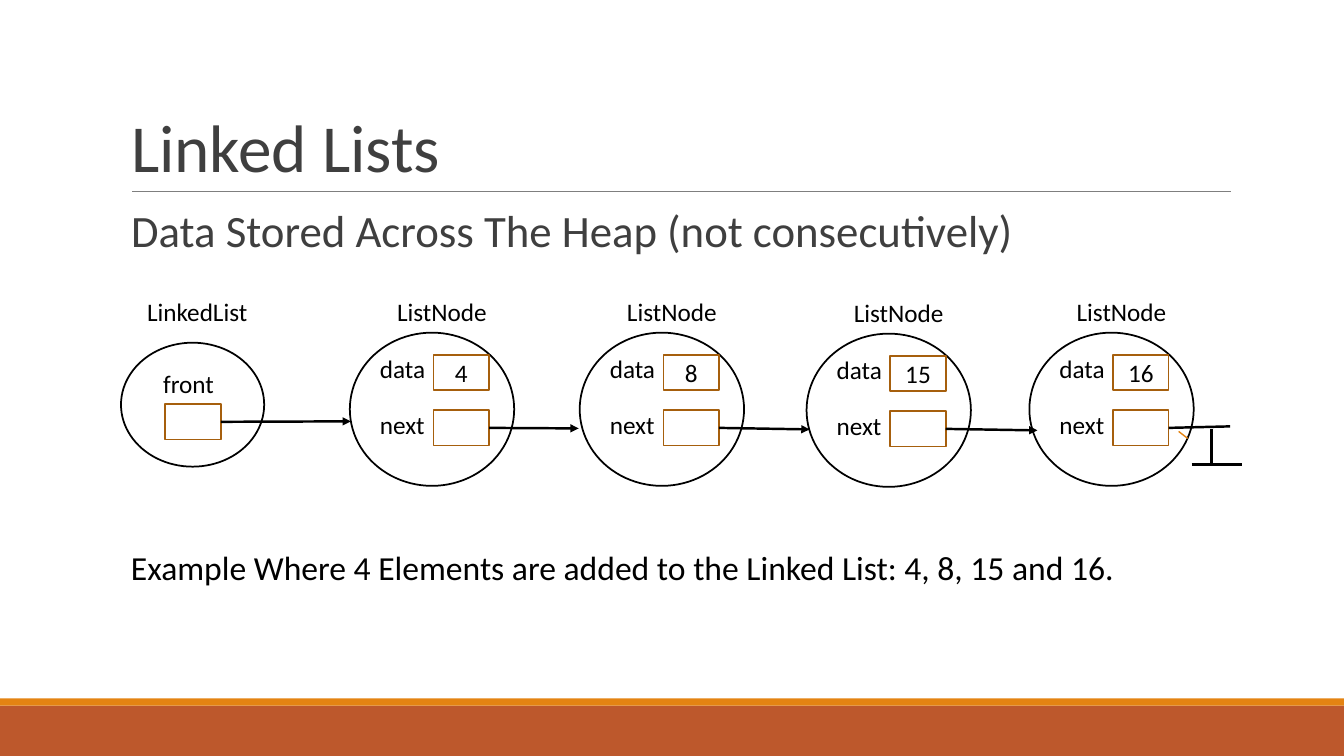
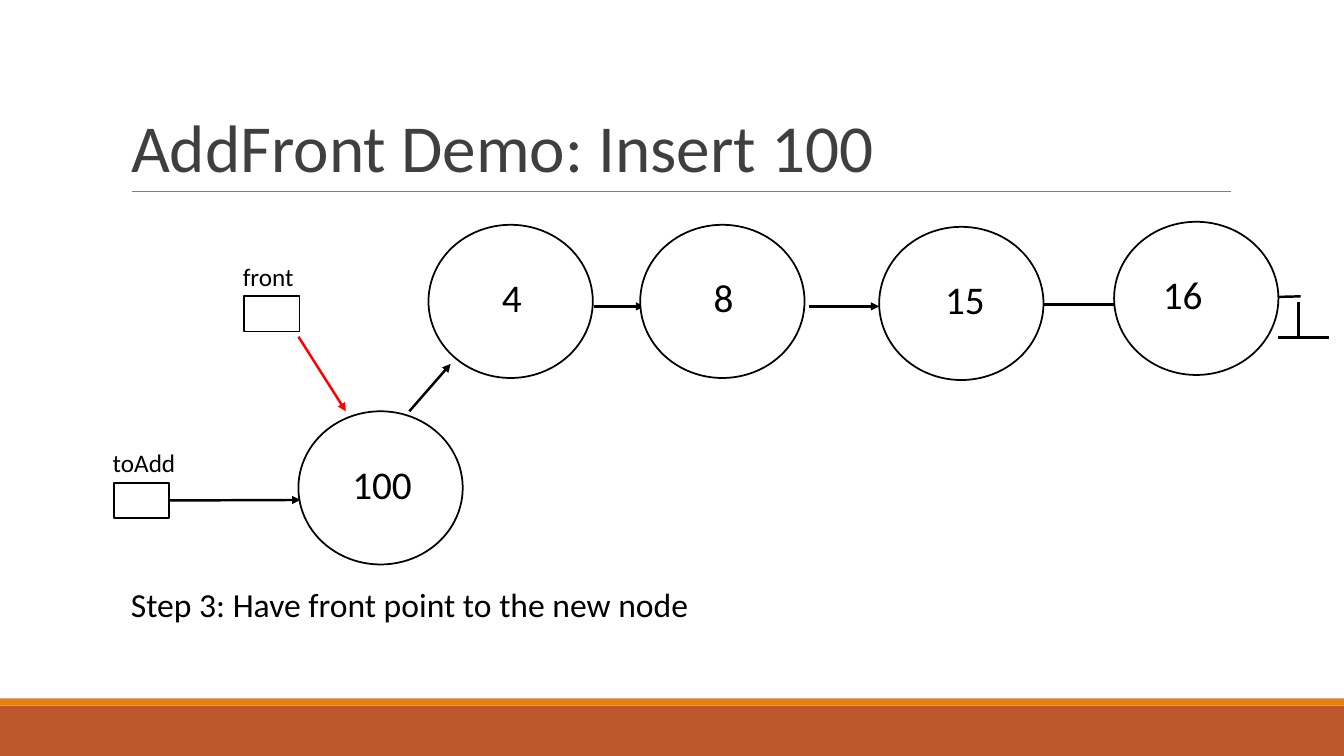
"""Build two slides on linked lists: the stored nodes and an insertion at the front."""
from lxml import etree
from pptx import Presentation
from pptx import util as u
from pptx.dml.color import RGBColor
from pptx.enum import shapes, text
from pptx.oxml.ns import qn

deck = Presentation()
deck.slide_width, deck.slide_height = u.Inches(13.33), u.Inches(7.5)
col, row = deck.slide_width / 13.33, deck.slide_height / 7.5

hues = {"ink": "000000", "gray": "3F3F3F", "rule": "7F7F7F", "white": "FFFFFF",
        "rust": "BD582C", "gold": "E48312", "brown": "A65F0D", "red": "FF0000"}
rect, oval = shapes.MSO_SHAPE.RECTANGLE, shapes.MSO_SHAPE.OVAL
left, mid = text.PP_ALIGN.LEFT, text.PP_ALIGN.CENTER
top, core, base = text.MSO_ANCHOR.TOP, text.MSO_ANCHOR.MIDDLE, text.MSO_ANCHOR.BOTTOM

looks = {
    "title": {"slot": 0, "size": 48, "ink": "gray", "anchor": base, "space": 0.85},
    "body": {"slot": 1, "size": 32, "ink": "gray", "space": 0.9, "inset": 0},
    "label": {"size": 18},
    "note": {"size": 24},
    "rust": {"kind": rect, "fill": "rust"},
    "gold": {"kind": rect, "fill": "gold"},
    "node": {"kind": oval, "fill": "white", "line": "ink"},
    "cell": {"kind": rect, "fill": "white", "line": "brown",
             "size": 18, "align": mid, "anchor": core},
    "slot": {"kind": rect, "fill": "white", "line": "ink"},
    "value": {"kind": rect, "fill": "white", "size": 28, "align": mid, "anchor": core},
}


def box(home, name, at, words=""):
    """Place a shape, text box or placeholder in the named look."""
    look = looks[name]
    spot = [int(n * step) for n, step in zip(at, (col, row, col, row))]
    if "slot" in look:
        item = home.placeholders[look["slot"]]
        for key, val in zip(("left", "top", "width", "height"), spot):
            setattr(item, key, val)
    elif "kind" in look:
        item = home.add_shape(look["kind"], *spot)
        item.shadow.inherit = False
        item.fill.solid()
        item.fill.fore_color.rgb = RGBColor.from_string(hues[look["fill"]])
        if "line" in look:
            item.line.color.rgb = RGBColor.from_string(hues[look["line"]])
            item.line.width = u.Pt(1.25)
        else:
            item.line.fill.background()
    else:
        item = home.add_textbox(*spot)
    if words:
        frame = item.text_frame
        frame.text = words
        pad = int(look.get("inset", 0.1) * col)
        part = frame.paragraphs[0]
        for thing, vals in (
            (frame, {"word_wrap": True, "auto_size": text.MSO_AUTO_SIZE.NONE,
                     "vertical_anchor": look.get("anchor", top),
                     "margin_left": pad, "margin_right": pad}),
            (part, {"alignment": look.get("align", left), "space_before": u.Pt(0),
                    "line_spacing": look.get("space", 1.0)}),
            (part.runs[0].font, {"name": "Calibri", "size": u.Pt(look["size"])}),
        ):
            for key, val in vals.items():
                setattr(thing, key, val)
        part.runs[0].font.color.rgb = RGBColor.from_string(hues[look.get("ink", "ink")])
    return item


def wire(home, start, end, hue="ink", width=1.75, head=False, tie=None):
    """Draw a straight line, with an arrowhead or a joined start on request."""
    line = home.add_connector(shapes.MSO_CONNECTOR.STRAIGHT,
                              int(start[0] * col), int(start[1] * row),
                              int(end[0] * col), int(end[1] * row))
    line.line.color.rgb = RGBColor.from_string(hues[hue])
    line.line.width = u.Pt(width)
    props = line.element.spPr
    if head:
        etree.SubElement(props.find(qn("a:ln")), qn("a:tailEnd"), type="triangle")
    etree.SubElement(props, qn("a:effectLst"))
    if tie is not None:
        line.begin_connect(tie, 3)


pages = []
for plan, title, note, foot, ground in (
    (1, "Linked Lists",
     "Example Where 4 Elements are added to the Linked List: 4, 8, 15 and 16.",
     5.38, (11.82, 4.61)),
    (5, "AddFront Demo: Insert 100", "Step 3: Have front point to the new node",
     5.74, (12.68, 3.35)),
):
    home = deck.slides.add_slide(deck.slide_layouts[plan]).shapes
    box(home, "rust", (0, 7, 13.33, 0.5))
    box(home, "gold", (0, 6.93, 13.33, 0.07))
    wire(home, (1.31, 1.9), (12.21, 1.9), "rule", 0.75)
    box(home, "title", (1.2, 0.31, 11, 1.59), title)
    box(home, "note", (1.2, foot, 10.68, 0.5), note)
    x, y = ground
    wire(home, ground, (x + 0.5, y))
    wire(home, (x + 0.2, y - 0.35), (x + 0.2, y), width=2)
    pages.append(home)
heap, demo = pages

body = box(heap, "body", (1.2, 2.02, 11, 0.86),
           "Data Stored Across The Heap (not consecutively)")
for props in body.element.iter(qn("a:pPr")):
    props.set("marL", str(int(0.1 * col)))
    props.set("indent", "0")
    etree.SubElement(props, qn("a:buNone"))

box(heap, "node", (1.2, 3.4, 1.42, 1.23))
cells = [box(heap, "cell", (1.64, 4.01, 0.55, 0.35))]
box(heap, "label", (1.52, 3.61, 1, 0.4), "front")
box(heap, "label", (1.36, 2.89, 1.32, 0.4), "LinkedList")

for x, y, value in ((3.47, 3.3, "4"), (5.75, 3.3, "8"), (8, 3.31, "15"), (10.21, 3.3, "16")):
    group = heap.add_group_shape().shapes
    box(group, "node", (x, y, 1.63, 1.52))
    box(group, "label", (x + 0.37, y - 0.41, 1.46, 0.4), "ListNode")
    for step, (word, held) in enumerate((("data", value), ("next", ""))):
        down = y + 0.22 + 0.55 * step
        box(group, "label", (x + 0.2, down - 0.06, 1, 0.4), word)
        cell = box(group, "cell", (x + 0.83, down, 0.55, 0.35), held)
    cells.append(cell)

for cell, (x, y) in zip(cells, ((3.48, 4.18), (5.74, 4.25), (8.03, 4.26),
                                (10.29, 4.27), (12.2, 4.23))):
    wire(heap, (x - 1, y), (x, y), head=cell is not cells[-1], tie=cell)
wire(heap, (11.78, 4.35), (11.69, 4.28), "gold", 1)

for start, end, head in (
    ((5.89, 3.04), (6.39, 3.04), True),
    ((8.02, 3.04), (8.72, 3.04), True),
    ((10.35, 3.02), (11.1, 3.02), False),
    ((12.5, 2.95), (12.9, 2.94), False),
):
    wire(demo, start, end, head=head)

for x, y, shift, width, value in (
    (4.25, 2.23, 0.55, 0.55, "4"), (6.35, 2.23, 0.55, 0.55, "8"),
    (8.72, 2.25, 0.55, 0.6, "15"), (11.05, 2.2, 0.28, 0.8, "16"),
    (2.96, 4.08, 0.35, 0.96, "100"),
):
    group = demo.add_group_shape().shapes
    box(group, "node", (x, y, 1.63, 1.52))
    box(group, "value", (x + shift, y + 0.54, width, 0.35), value)

for x, y, word in ((2.42, 2.94, "front"), (1.13, 4.79, "toAdd")):
    slot = box(demo, "slot", (x, y, 0.55, 0.35))
    box(demo, "label", (x - 0.11, y - 0.4, 1, 0.4), word)
wire(demo, (1.68, 4.96), (2.98, 4.96), head=True, tie=slot)
wire(demo, (4.06, 4.08), (4.47, 3.61), head=True)
wire(demo, (2.96, 3.34), (3.43, 4.08), "red", head=True)

deck.save("out.pptx")
